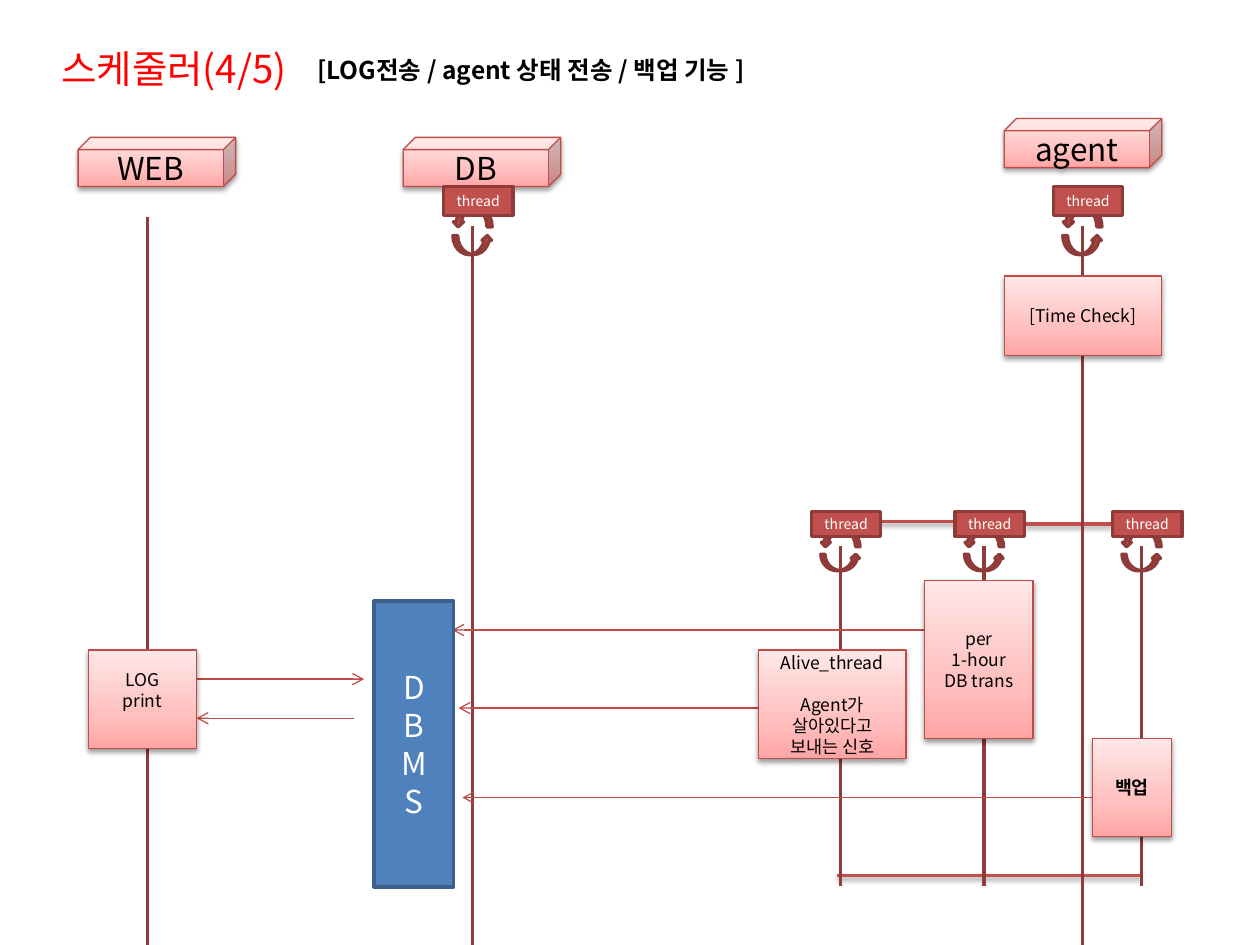
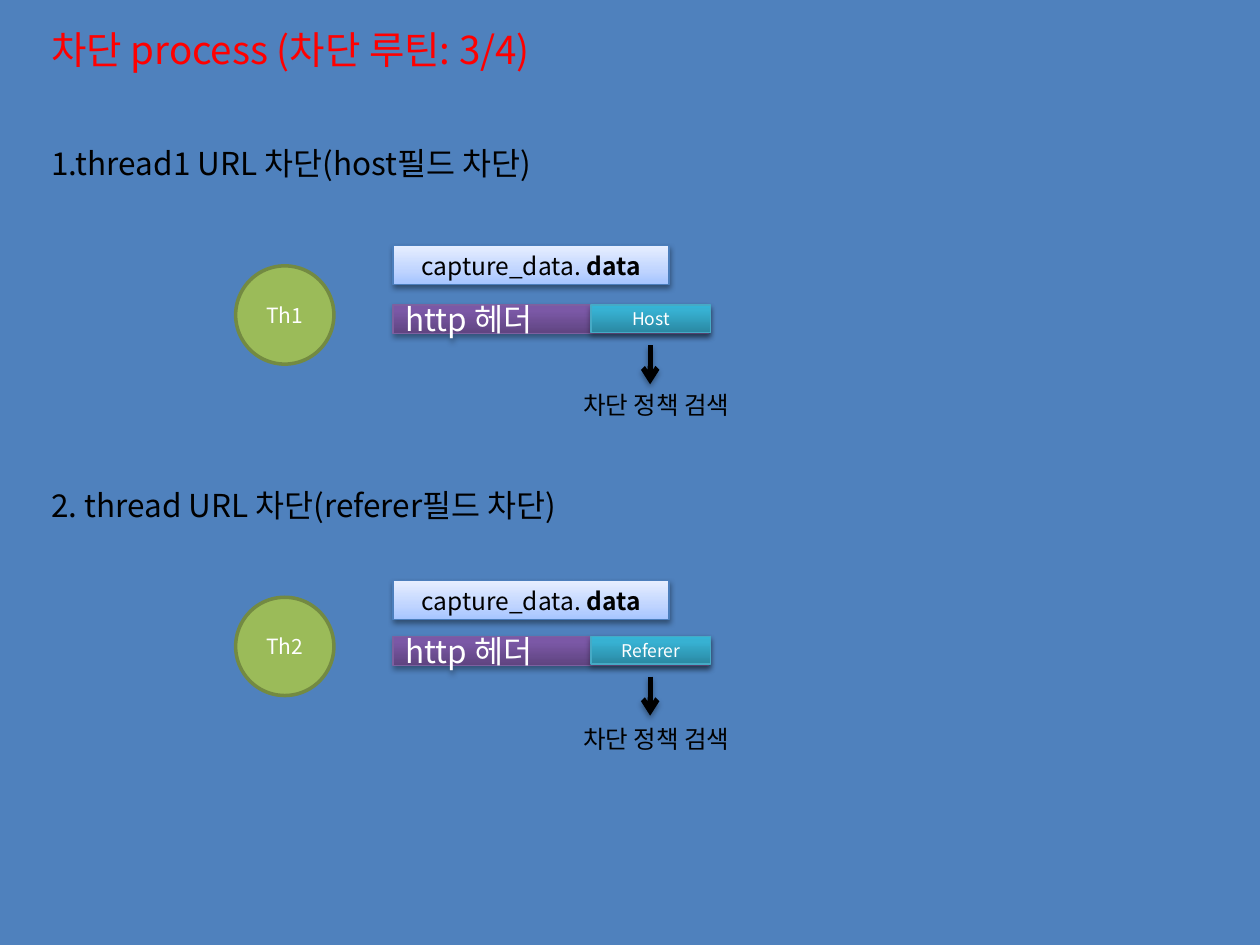
from copy import deepcopy
from lxml import etree
from pptx import Presentation
from pptx.dml.color import RGBColor
from pptx.enum.shapes import MSO_CONNECTOR, MSO_SHAPE
from pptx.enum.text import MSO_ANCHOR, PP_ALIGN
from pptx.oxml.ns import qn
from pptx.util import Inches, Pt

FONT = "Noto Sans CJK KR"
COLORS = {
    "black": "000000", "white": "FFFFFF", "title": "FF0000",
    "red": "C0504D", "red_edge": "BF4C48", "red_dark": "8E3B39",
    "blue": "4F81BD", "blue_dark": "3A5F8C", "blue_edge": "4B7EBC",
    "green": "9BBB59", "green_dark": "738A42",
    "purple_edge": "7D60A0", "teal_edge": "46AAC5",
}
PINK = [(0, "FFA6A5"), (0.35, "FFC0BF"), (1, "FFE7E7")]
PALE_BLUE = [(0, "A4C4FF"), (0.35, "BFD4FF"), (1, "E6EEFF")]
PURPLE = [(0, "5F4480"), (0.8, "7B58A6"), (1, "7C57A8")]
TEAL = [(0, "2A88A2"), (0.8, "37B1D2"), (1, "34B4D6")]
SOFT = (38, 1.6)
DEEP = (35, 1.8)

shadowed = []


def box(slide, kind, at, text="", size=10, color="black", fill=None, edge=None,
        weight=0.75, shadow=None, align=PP_ALIGN.CENTER, bold=None, inset=0.1):
    place = [Inches(length) for length in at]
    if kind is None:
        shape = slide.shapes.add_textbox(*place)
    else:
        shape = slide.shapes.add_shape(kind, *place)
        shape.shadow.inherit = False
        if isinstance(fill, list):
            shape.fill.gradient()
            shape.fill.gradient_angle = 90
            stops = shape._element.spPr.find(".//" + qn("a:gsLst"))
            stops.append(deepcopy(stops[0]))
            for stop, (position, tone) in zip(shape.fill.gradient_stops, fill):
                stop.position = position
                stop.color.rgb = RGBColor.from_string(tone)
        else:
            shape.fill.solid()
            shape.fill.fore_color.rgb = RGBColor.from_string(COLORS[fill])
        shape.line.color.rgb = RGBColor.from_string(COLORS[edge])
        shape.line.width = Pt(weight)
        if shadow:
            shadowed.append((shape, shadow))
    frame = shape.text_frame
    frame.word_wrap = True
    frame.margin_left = frame.margin_right = Inches(inset)
    frame.vertical_anchor = MSO_ANCHOR.TOP if kind is None else MSO_ANCHOR.MIDDLE
    if text:
        frame.text = text
        for paragraph in frame.paragraphs:
            paragraph.alignment = align
            paragraph.font.size = Pt(size)
            paragraph.font.name = FONT
            paragraph.font.bold = bold
            paragraph.font.color.rgb = RGBColor.from_string(COLORS[color])
            defaults = paragraph._p.pPr.find(qn("a:defRPr"))
            etree.SubElement(defaults, qn("a:ea"), typeface=FONT)
    return frame


def link(slide, x1, y1, x2, y2, color, weight, arrow=False, shadow=None):
    connector = slide.shapes.add_connector(
        MSO_CONNECTOR.STRAIGHT, Inches(x1), Inches(y1), Inches(x2), Inches(y2))
    connector.line.color.rgb = RGBColor.from_string(COLORS[color])
    connector.line.width = Pt(weight)
    if arrow:
        etree.SubElement(connector.line._get_or_add_ln(), qn("a:tailEnd"), type="arrow")
    etree.SubElement(connector._element.spPr, qn("a:effectLst"))
    if shadow:
        shadowed.append((connector, shadow))


deck = Presentation()
deck.slide_width = Inches(10)
deck.slide_height = Inches(7.5)
blank = deck.slide_layouts[6]
scheduler = deck.slides.add_slide(blank)
blocking = deck.slides.add_slide(blank)

pages = [
    (scheduler, "white", "스케줄러(4/5)", (0.39, 0.31, 2.03, 0.47)),
    (blocking, "blue", "차단 process (차단 루틴: 3/4)", (0.31, 0.16, 4.92, 0.47)),
]
for slide, backdrop, title, at in pages:
    slide.background.fill.solid()
    slide.background.fill.fore_color.rgb = RGBColor.from_string(COLORS[backdrop])
    box(slide, None, at, title, 22, "title", align=PP_ALIGN.LEFT)

box(scheduler, None, (2.42, 0.39, 4.22, 0.34), "[LOG전송 / agent 상태 전송 / 백업 기능 ]",
    14, bold=True, align=PP_ALIGN.LEFT)
link(scheduler, 1.17, 1.72, 1.17, 7.5, "red_dark", 2)
for name, left, top in [("WEB", 0.62, 1.09), ("DB", 3.2, 1.09), ("agent", 7.97, 0.94)]:
    box(scheduler, MSO_SHAPE.CUBE, (left, top, 1.25, 0.39), name, 18,
        fill=PINK, edge="red_edge", shadow=SOFT)

for x1, x2, y in [(6.95, 7.58, 4.14), (8.13, 8.83, 4.16), (6.64, 9.06, 6.95)]:
    link(scheduler, x1, y, x2, y, "red", 2, shadow=SOFT)

threads = [
    (3.75, 1.48, 7.5, 1), (8.59, 1.48, 7.5, 1),
    (6.67, 4.06, 7.03, 0.87), (7.81, 4.06, 7.03, 0.87), (9.06, 4.06, 7.03, 0.87),
]
for center, top, bottom, scale in threads:
    link(scheduler, center, top + 0.31 * scale, center, bottom, "red_dark", 2)
    for drop, height, turn in [(0.39, 0.15, 0), (0.16, 0.16, 180)]:
        box(scheduler, MSO_SHAPE.CURVED_UP_ARROW,
            (center - 0.155, top + drop * scale, 0.31, height * scale),
            fill="red", edge="red_dark", weight=2)
        scheduler.shapes[-1].rotation = turn
    box(scheduler, MSO_SHAPE.RECTANGLE, (center - 0.23, top, 0.55, 0.23 * scale),
        "thread", 8, "white", "red", "red_dark", 2, inset=0)

for x1, x2, y in [(7.66, 3.59, 5), (8.83, 3.67, 6.33), (6.46, 3.64, 5.62),
                  (0.78, 2.89, 5.39), (2.81, 1.56, 5.7)]:
    link(scheduler, x1, y, x2, y, "red_edge", 0.75, arrow=True)

steps = {}
for text, at, size, bold in [
    ("[Time Check]", (7.97, 2.19, 1.25, 0.63), 10, None),
    ("per\n1-hour\nDB trans", (7.34, 4.61, 0.86, 1.25), 10, None),
    ("백업", (8.67, 5.86, 0.63, 0.78), 10.5, True),
    ("Alive_thread\nAgent가 살아있다고 보내는 신호", (6.02, 5.16, 1.17, 0.86), 10, None),
    ("LOG\nprint", (0.7, 5.16, 0.86, 0.78), 10, None),
]:
    steps[text.split("\n")[0]] = box(
        scheduler, MSO_SHAPE.RECTANGLE, at, text, size,
        fill=PINK, edge="red_edge", shadow=SOFT, bold=bold)
steps["Alive_thread"].paragraphs[0].space_after = Pt(12)
steps["LOG"].margin_bottom = Inches(0.19)
box(scheduler, MSO_SHAPE.RECTANGLE, (2.97, 4.77, 0.63, 2.27), "D\nB\nM\nS", 18,
    "white", "blue", "blue_dark", 2)

routines = [
    ("1.thread1 URL 차단(host필드 차단)", "Th1", "Host", 1.09, 1.95, 2.11, 3.05),
    ("2. thread URL 차단(referer필드 차단)", "Th2", "Referer", 3.81, 4.61, 4.74, 5.7),
]
for heading, thread, field, heading_top, data_top, thread_top, search_top in routines:
    box(blocking, None, (0.31, heading_top, 5, 0.4), heading, 18, align=PP_ALIGN.LEFT)
    box(blocking, MSO_SHAPE.OVAL, (1.87, thread_top, 0.78, 0.78), thread, 12,
        "white", "green", "green_dark", 2)
    header_top = thread_top + 0.31
    box(blocking, MSO_SHAPE.RECTANGLE, (3.12, header_top, 2.5, 0.23), "http 헤더", 18,
        "white", PURPLE, "purple_edge", shadow=DEEP, align=PP_ALIGN.LEFT)
    box(blocking, MSO_SHAPE.RECTANGLE, (4.69, header_top, 0.95, 0.22), field, 10,
        "white", TEAL, "teal_edge", shadow=DEEP)
    link(blocking, 5.16, thread_top + 0.63, 5.16, thread_top + 0.94, "black", 3,
         arrow=True, shadow=DEEP)
    capture = box(blocking, MSO_SHAPE.RECTANGLE, (3.12, data_top, 2.19, 0.31),
                  "capture_data.", 14, fill=PALE_BLUE, edge="blue_edge", shadow=SOFT)
    member = capture.paragraphs[0].add_run()
    member.text = " data"
    member.font.bold = True
    box(blocking, None, (4.53, search_top, 1.56, 0.34), "차단 정책 검색", 14,
        align=PP_ALIGN.LEFT)

for shape, (opacity, distance) in shadowed:
    effects = shape._element.spPr.find(qn("a:effectLst"))
    cast = etree.SubElement(effects, qn("a:outerShdw"), blurRad=str(Pt(3.1)),
                            dist=str(Pt(distance)), dir="5400000", rotWithShape="0")
    tone = etree.SubElement(cast, qn("a:srgbClr"), val=COLORS["black"])
    etree.SubElement(tone, qn("a:alpha"), val=str(opacity * 1000))

deck.save("out.pptx")
